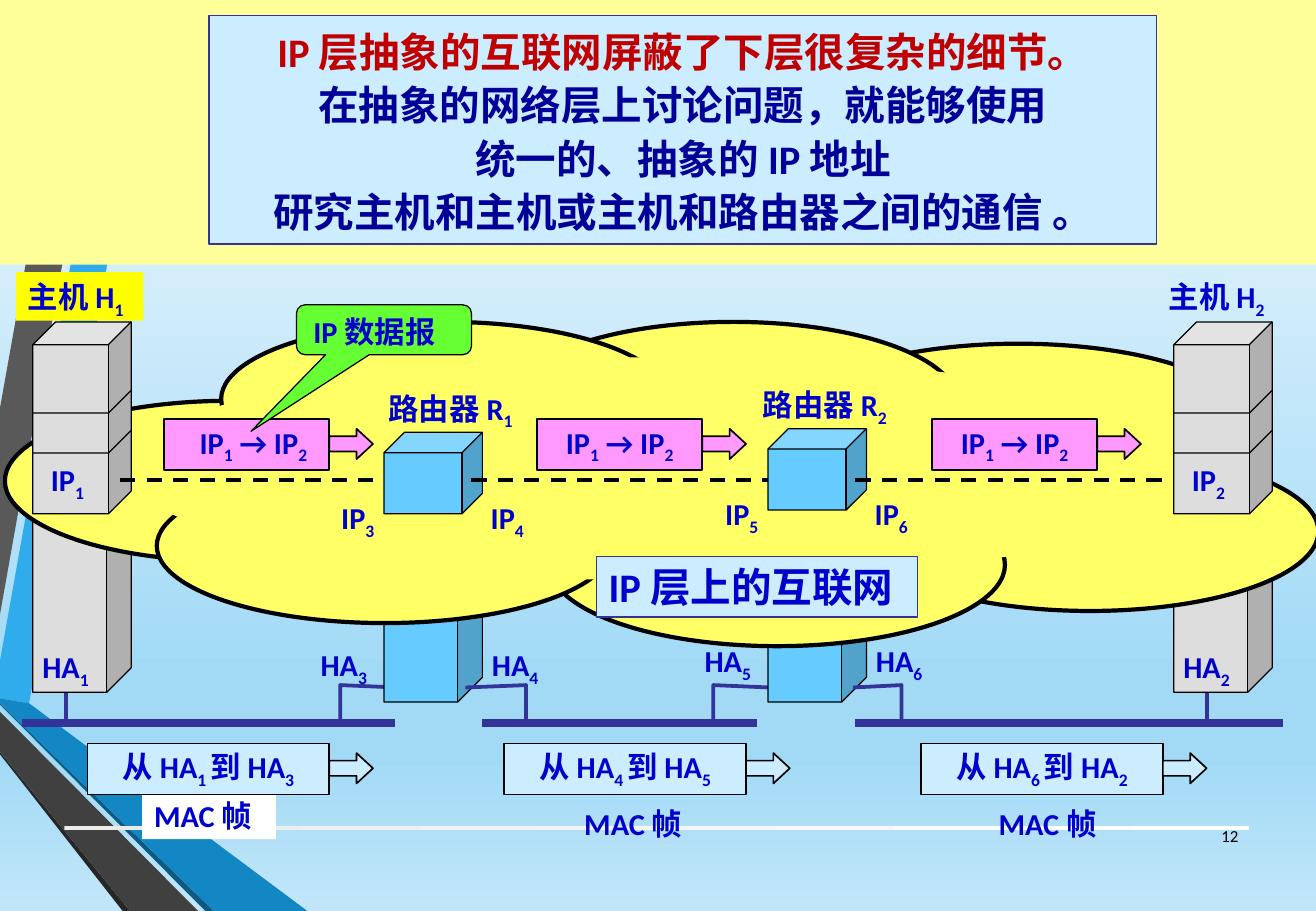
from lxml import etree
from pptx import Presentation
from pptx.dml.color import RGBColor
from pptx.enum.dml import MSO_LINE
from pptx.enum.shapes import MSO_CONNECTOR, MSO_SHAPE
from pptx.enum.text import MSO_ANCHOR, MSO_AUTO_SIZE, PP_ALIGN
from pptx.oxml.ns import qn
from pptx.util import Emu, Pt

RECT, OVAL, CUBE = MSO_SHAPE.RECTANGLE, MSO_SHAPE.OVAL, MSO_SHAPE.CUBE
ARROW, BUBBLE = MSO_SHAPE.RIGHT_ARROW, MSO_SHAPE.ROUNDED_RECTANGULAR_CALLOUT
STRAIGHT, DASH = MSO_CONNECTOR.STRAIGHT, MSO_LINE.DASH
CENTER, RIGHT = PP_ALIGN.CENTER, PP_ALIGN.RIGHT
TOP, MIDDLE = MSO_ANCHOR.TOP, MSO_ANCHOR.MIDDLE
GROW, FIXED = MSO_AUTO_SIZE.SHAPE_TO_FIT_TEXT, MSO_AUTO_SIZE.NONE

COLS, ROWS, CELL = 1083, 750, 9144
FONT = "Calibri"
HEX = {
    "black": "000000", "white": "FFFFFF", "silver": "EBEBEB", "gray": "DDDDDD",
    "navy": "333399", "ink": "0000CC", "deep": "000099", "red": "C00000",
    "cream": "FFFF99", "cloud": "FFFF66", "yellow": "FFFF00", "pale": "CCECFF",
    "sky": "66CCFF", "pink": "FF99FF", "green": "66FF33",
    "mist": "F5FBFE", "haze": "A2DAF6", "foam": "C1E6F9",
    "azure": "30ACEC", "slate": "595959", "coal": "262626",
    "teal": "0C5A82", "blue": "1287C3", "ash": "404040",
}


def rgb(name):
    """Look up a palette colour."""
    return RGBColor.from_string(HEX[name])


def grid(*cells):
    """Turn grid cells into lengths."""
    return [Emu(round(c * CELL)) for c in cells]


def paint(shape, fill=None, edge=None, width=0.75):
    """Set the fill and outline of a shape."""
    if fill:
        shape.fill.solid()
        shape.fill.fore_color.rgb = rgb(fill)
    else:
        shape.fill.background()
    if edge:
        shape.line.color.rgb = rgb(edge)
        shape.line.width = Pt(width)
    else:
        shape.line.fill.background()


def draw(slide, kind, box, fill=None, edge=None, width=0.75):
    """Add a preset shape in a box."""
    shape = slide.shapes.add_shape(kind, *grid(*box))
    shape.shadow.inherit = False
    paint(shape, fill, edge, width)
    return shape


def outline(slide, points, closed, fill=None, edge=None, width=0.75):
    """Add a freeform through grid points."""
    pen = slide.shapes.build_freeform(*points[0], scale=CELL)
    pen.add_line_segments(points[1:], close=closed)
    shape = pen.convert_to_shape()
    shape.shadow.inherit = False
    paint(shape, fill, edge, width)


def link(slide, ends, color, width, dash=None):
    """Add a straight line."""
    line = slide.shapes.add_connector(STRAIGHT, *grid(*ends))
    line.line.color.rgb = rgb(color)
    line.line.width = Pt(width)
    if dash:
        line.line.dash_style = dash
    etree.SubElement(line._element.spPr, qn("a:effectLst"))


def grade(fill, root, stops, angle):
    """Fill with a linear gradient of the given stops."""
    fill.gradient()
    fill.gradient_angle = angle
    rack = root.find(".//" + qn("a:gsLst"))
    rack.clear()
    for place, name in stops:
        stop = etree.SubElement(rack, qn("a:gs"), pos=str(place * 1000))
        etree.SubElement(stop, qn("a:srgbClr"), val=HEX[name])


def write(para, text, size=18, color="ink", bold=True):
    """Add runs; every second part between bars is a subscript."""
    for i, part in enumerate(text.split("|")):
        if part:
            run = para.add_run()
            run.text = part
            font = run.font
            font.name, font.size, font.bold = FONT, Pt(size), bold
            font.color.rgb = rgb(color)
            if i % 2:
                font._element.set("baseline", "-25000")


def label(slide, box, text, size=18, fill=None, edge=None):
    """Add a one-line text box."""
    area = slide.shapes.add_textbox(*grid(*box))
    paint(area, fill, edge)
    area.text_frame.word_wrap = False
    area.text_frame.auto_size = GROW
    write(area.text_frame.paragraphs[0], text, size)


def decor(slide, box):
    """Draw the background, side stripes and bottom bar."""
    x, y, w, h = box
    sky = [(0, "mist"), (74, "haze"), (83, "haze"), (100, "foam")]
    grade(slide.background.fill, slide._element, sky, 270)
    stripes = [
        ("azure", [(0, 544), (0, 575), (24, 579), (127, 0), (97, 0)]),
        ("slate", [(90, 0), (60, 0), (0, 336), (0, 506)]),
        ("coal", [(0, 619), (0, 621), (101, h), (107, h)]),
        ("teal", [(0, 579), (0, 580), (169, h), (176, h)]),
        ("blue", [(0, 579), (176, h), (253, h), (24, 579), (0, 575)]),
        ("ash", [(0, 619), (107, h), (163, h), (0, 586)]),
    ]
    for color, points in stripes:
        outline(slide, [(x + a, y + b) for a, b in points], True, color)
    bar = draw(slide, RECT, (x + 53, y + 680, w - 108, 3))
    grade(bar.fill, bar._element, [(0, "silver"), (100, "white")], 0)


def header(slide, box):
    """Place the title over its band."""
    x, y, w, h = box
    draw(slide, RECT, box, "cream")
    title = slide.shapes.title
    slide.shapes._spTree.append(title._element)
    title.left, title.top, title.width, title.height = grid(x + 172, y + 13, 780, h - 30)
    paint(title, "pale", "navy")
    frame = title.text_frame
    frame.word_wrap, frame.auto_size, frame.vertical_anchor = True, FIXED, TOP
    lines = ["IP 层抽象的互联网屏蔽了下层很复杂的细节。",
             "在抽象的网络层上讨论问题，就能够使用",
             "统一的、抽象的 IP 地址",
             "研究主机和主机或主机和路由器之间的通信 。"]
    for i, text in enumerate(lines):
        para = frame.add_paragraph() if i else frame.paragraphs[0]
        para.alignment, para.line_spacing = CENTER, 1.1
        write(para, text, 24, "deep" if i else "red")


def wires(slide, box):
    """Draw the lower columns and the networks joining them."""
    x, y, w, h = box
    floor = y + h

    def hook(foot, end):
        """Join a network to a router side."""
        points = [(foot, floor), (foot, floor - 31), (end, floor - 29)]
        outline(slide, [(x + a, b) for a, b in points], False, None, "navy", 2.25)

    hook(280, 327)
    hook(587, 633)
    for post in (54.5, 993):
        link(slide, (x + post, floor, x + post, floor - 58), "navy", 2.25)
    for left, top, tall, color in ((27, 0, 208, "gray"), (316, 8, 208, "sky"),
                                   (966, 0, 208, "gray"), (632, 33, 183, "sky")):
        draw(slide, CUBE, (x + left, y + top, 81, tall), color, "black")
    hook(433, 383)
    hook(742, 702)
    for start, end in ((18, 325), (397, 623), (704, 1056)):
        link(slide, (x + start, floor, x + end, floor), "navy", 4.5)


def cloud(slide, box):
    """Draw the cloud from overlapping ovals."""
    x, y, w, h = box
    puffs = [(705, 107, 376, 131), (0, 65, 369, 132), (646, 18, 376, 127),
             (448, 133, 375, 134), (125, 121, 375, 127), (415, 0, 369, 132),
             (178, 0, 369, 127)]
    for a, b, c, d in puffs:
        draw(slide, OVAL, (x + a, y + b, c, d), "cloud", "black", 2.5)
    draw(slide, OVAL, (x + 99, y + 29, 896, 184), "cloud")
    label(slide, (x + 487, y + 193, 264, 50), "IP 层上的互联网", 24, "pale", "navy")


def host(slide, box, num, fill=None):
    """Draw a host as three stacked cubes with its addresses."""
    x, y, w, h = box
    for drop in (83, 33, 0):
        draw(slide, CUBE, (x, y + drop, w, 75), "gray", "black")
    label(slide, (x - 14, y - 41, 105, 40), f"主机 H|{num}", fill=fill)
    label(slide, (x + 5, y + 110, 54, 40), f"IP|{num}")
    label(slide, (x - 2, y + 264, 66, 40), f"HA|{num}")


def router(slide, box, num, shift):
    """Draw a router with its name and the addresses on both sides."""
    x, y, w, h = box
    draw(slide, CUBE, box, "sky", "black")
    label(slide, (x - shift, y - 40, 130, 40), f"路由器 R|{num}")
    for port, near, far in ((2 * num + 1, -45, -62), (2 * num + 2, 78, 79)):
        label(slide, (x + near, y + 50, 54, 40), f"IP|{port}")
        label(slide, (x + far, y + 171, 66, 40), f"HA|{port}")


def packet(slide, box, text, fill, pad=0):
    """Draw a data unit with an arrow on its right."""
    x, y, w, h = box
    unit = draw(slide, RECT, box, fill, "black", 1)
    frame = unit.text_frame
    frame.word_wrap, frame.vertical_anchor = False, MIDDLE
    frame.margin_left = grid(10 + pad)[0]
    frame.paragraphs[0].alignment = CENTER
    write(frame.paragraphs[0], text)
    arrow = draw(slide, ARROW, (x + w, y + 8, 36, 25), fill, "black", 1)
    arrow.adjustments[1] = 0.54


def bubble(slide, box):
    """Draw the callout naming the datagram."""
    x, y, w, h = box
    shape = draw(slide, BUBBLE, box, "green", "black")
    for i, value in enumerate((-0.76, 2.04, 0.17)):
        shape.adjustments[i] = value
    label(slide, (x + 4, y + 2, 127, 40), "IP 数据报")


def number(slide, box):
    """Write the page number."""
    frame = slide.shapes.add_textbox(*grid(*box)).text_frame
    frame.word_wrap, frame.vertical_anchor = True, MIDDLE
    frame.paragraphs[0].alignment = RIGHT
    write(frame.paragraphs[0], "12", 10, "black", False)


def main():
    """Build and save the slide."""
    deck = Presentation()
    deck.slide_width, deck.slide_height = grid(COLS, ROWS)
    slide = deck.slides.add_slide(deck.slide_layouts[5])
    decor(slide, (0, 0, COLS, ROWS))
    header(slide, (0, 0, COLS, 218))
    wires(slide, (0, 362, COLS, 233))
    cloud(slide, (4, 265, 1081, 267))
    host(slide, (27, 265, 81, 158), 1, "yellow")
    host(slide, (966, 265, 81, 158), 2)
    link(slide, (99, 395, 325, 395), "black", 2.25, DASH)
    router(slide, (316, 356, 81, 67), 1, 6)
    link(slide, (388, 395, 632, 395), "black", 2.25, DASH)
    router(slide, (632, 353, 81, 67), 2, 14)
    link(slide, (704, 395, 966, 395), "black", 2.25, DASH)
    hops = [(1, 3, 45, 651, "white"), (4, 5, 56, 658, None), (6, 2, 54, 658, None)]
    for i, (start, end, shift, top, fill) in enumerate(hops):
        left = 72 + 343 * i
        label(slide, (left + shift, top, 110, 40), "MAC 帧", fill=fill)
        packet(slide, (left, 612, 199, 42), f"从 HA|{start} |到 HA|{end}", "pale")
    for left, pad in ((135, 11), (442, 0), (767, 0)):
        packet(slide, (left, 345, 136, 42), "IP|1| → IP|2", "pink", pad)
    bubble(slide, (244, 251, 144, 41))
    number(slide, (978, 668, 51, 40))
    deck.save("out.pptx")


if __name__ == "__main__":
    main()
